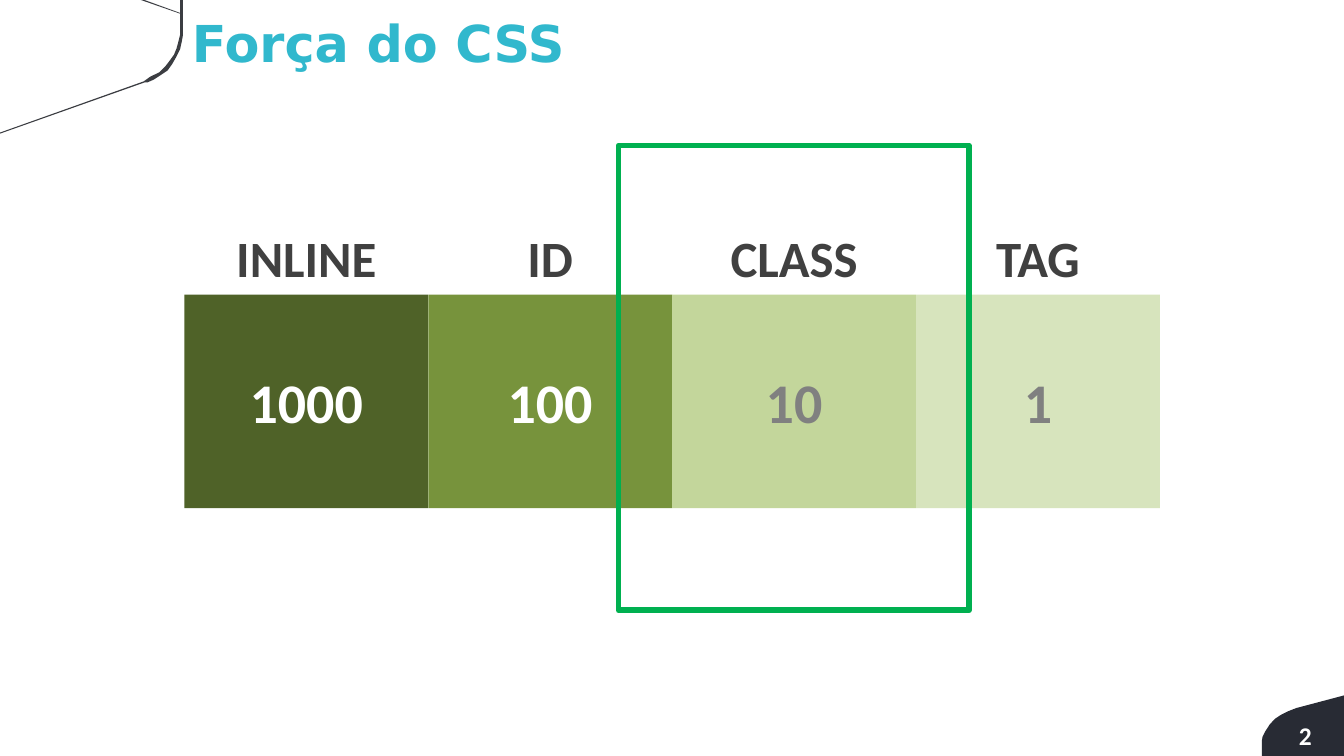
"""Build a slide on the weight of CSS selectors."""
from pptx import Presentation
from pptx.dml.color import RGBColor
from pptx.enum.shapes import MSO_SHAPE
from pptx.enum.text import MSO_ANCHOR, PP_ALIGN
from pptx.util import Cm, Pt

THEME = {
    "title": "31B8CD", "label": "404040", "light": "FFFFFF", "gray": "808080",
    "frame": "00B050", "tab": "282B34", "band": "3B3D42",
    "greens": ["4F6228", "77933C", "C3D69B", "D7E4BD"],
    "head_size": 40, "value_size": 44, "page_size": 20,
    "font": "Calibri", "head_font": "DejaVu Sans",
}


def write(shape, text, size, color, font=THEME["font"], align=PP_ALIGN.CENTER):
    frame = shape.text_frame
    frame.word_wrap = True
    frame.text = text
    line = frame.paragraphs[0]
    line.alignment = align
    style = line.runs[0].font
    style.name, style.size, style.bold = font, Pt(size), True
    style.color.rgb = RGBColor.from_string(color)


def paint(shape, color):
    shape.shadow.inherit = False
    shape.fill.solid()
    shape.fill.fore_color.rgb = RGBColor.from_string(color)
    shape.line.fill.background()


deck = Presentation()
deck.slide_width, deck.slide_height = Cm(37.31), Cm(20.98)
slide = deck.slides.add_slide(deck.slide_layouts[6])
shapes = slide.shapes

tab = [
    (37.31, 20.98), (35.03, 20.98), (35.03, 20.57), (35.05, 20.45),
    (35.13, 20.29), (35.26, 20.09), (35.41, 19.94), (35.56, 19.84),
    (35.76, 19.74), (35.99, 19.65), (36.14, 19.61), (37.31, 19.3),
]
band = [
    (0, 3.71), (0, 3.68), (3.99, 2.26), (4.06, 2.21), (4.17, 2.13),
    (4.42, 2.01), (4.6, 1.83), (4.7, 1.7), (4.83, 1.52), (4.9, 1.35),
    (4.95, 1.17), (5, 0.97), (5, 0.38), (3.91, 0), (4.01, 0), (5, 0.36),
    (5, 0), (5.08, 0), (5.08, 0.97), (5.05, 1.14), (5, 1.37), (4.9, 1.57),
    (4.78, 1.78), (4.65, 1.96), (4.47, 2.08), (4.27, 2.21), (4.09, 2.29),
    (4.01, 2.29),
]
for points, color in [(tab, THEME["tab"]), (band, THEME["band"])]:
    start, *rest = [(Cm(x), Cm(y)) for x, y in points]
    pen = shapes.build_freeform(*start)
    pen.add_line_segments(rest, close=True)
    paint(pen.convert_to_shape(), color)

title = shapes.add_textbox(Cm(5.33), Cm(0.33), Cm(27.89), Cm(1.7))
write(title, "Força do CSS", THEME["head_size"], THEME["title"],
      THEME["head_font"], PP_ALIGN.LEFT)
inset = title.text_frame
inset.margin_left = inset.margin_right = 0
inset.margin_top = inset.margin_bottom = 0

weights = [
    ("INLINE", "1000", THEME["light"]),
    ("ID", "100", THEME["light"]),
    ("CLASS", "10", THEME["gray"]),
    ("TAG", "1", THEME["gray"]),
]
left, width = Cm(5.12), Cm(6.77)
for i, (name, value, color) in enumerate(weights):
    x = left + i * width
    box = shapes.add_shape(MSO_SHAPE.RECTANGLE, x, Cm(8.18), width, Cm(5.92))
    paint(box, THEME["greens"][i])
    box.text_frame.vertical_anchor = MSO_ANCHOR.MIDDLE
    write(box, value, THEME["value_size"], color)
    label = shapes.add_textbox(x, Cm(6.17), width, Cm(1.96))
    write(label, name, THEME["head_size"], THEME["label"])

frame = shapes.add_shape(
    MSO_SHAPE.RECTANGLE, Cm(17.17), Cm(4.04), Cm(9.73), Cm(12.9))
frame.shadow.inherit = False
frame.fill.background()
frame.line.color.rgb = RGBColor.from_string(THEME["frame"])
frame.line.width = Pt(4.5)

page = shapes.add_textbox(Cm(35.81), Cm(19.86), Cm(1.07), Cm(1.12))
write(page, "2", THEME["page_size"], THEME["light"], align=PP_ALIGN.LEFT)

deck.save("out.pptx")
